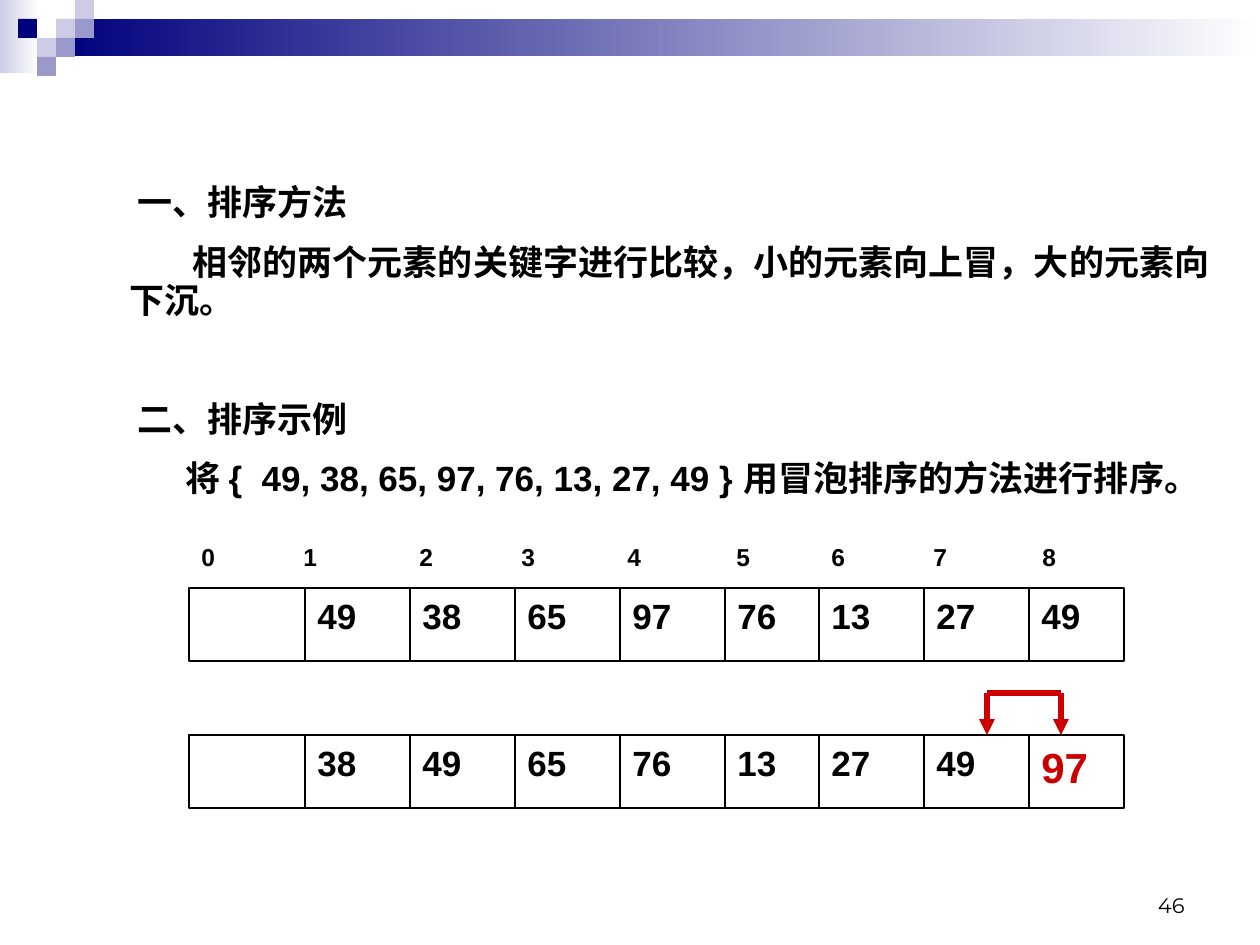
import pptx
import pptx.dml.color
import pptx.enum.shapes
import pptx.enum.text
import pptx.oxml.ns
import pptx.oxml.xmlchemy
import pptx.util

PX = 914400 // 126
BLACK = pptx.dml.color.RGBColor(0x00, 0x00, 0x00)
WHITE = pptx.dml.color.RGBColor(0xFF, 0xFF, 0xFF)
NAVY = pptx.dml.color.RGBColor(0x00, 0x00, 0x7D)
LILAC = pptx.dml.color.RGBColor(0x99, 0x99, 0xCC)
PALE = pptx.dml.color.RGBColor(0xCC, 0xCC, 0xE6)
RED = pptx.dml.color.RGBColor(0xCC, 0x00, 0x00)
RECTANGLE = pptx.enum.shapes.MSO_SHAPE.RECTANGLE
STRAIGHT = pptx.enum.shapes.MSO_CONNECTOR.STRAIGHT
Pt = pptx.util.Pt
new_element = pptx.oxml.xmlchemy.OxmlElement
qn = pptx.oxml.ns.qn

deck = pptx.Presentation()
deck.slide_width = pptx.util.Inches(10)
deck.slide_height = pptx.util.Inches(7.5)
page = deck.slides.add_slide(deck.slide_layouts[1])
title = page.shapes.title
title.element.getparent().remove(title.element)


def add_line(x1, y1, x2, y2, color, width, arrow=False):
    line = page.shapes.add_connector(STRAIGHT, x1 * PX, y1 * PX, x2 * PX, y2 * PX)
    line.line.color.rgb = color
    line.line.width = Pt(width)
    properties = line.element.spPr
    if arrow:
        tail = new_element("a:tailEnd")
        tail.set("type", "triangle")
        properties.find(qn("a:ln")).append(tail)
    properties.append(new_element("a:effectLst"))


def add_text(x, y, width, height, text, size, color=BLACK, font="Arial", bold=True):
    box = page.shapes.add_textbox(x * PX, y * PX, width * PX, height * PX)
    box.text_frame.word_wrap = True
    para = box.text_frame.paragraphs[0]
    para.text = text
    para.font.name = font
    para.font.size = Pt(size)
    para.font.bold = bold
    para.font.color.rgb = color
    return box


# Header band and its mosaic of squares
for x, y, width, height, left_color in ((0, 0, 39, 73, PALE), (57, 19, 1203, 37, NAVY)):
    band = page.shapes.add_shape(RECTANGLE, x * PX, y * PX, width * PX, height * PX)
    band.shadow.inherit = False
    band.line.fill.background()
    band.fill.gradient()
    band.fill.gradient_angle = 0
    for stop, color in zip(band.fill.gradient_stops, (left_color, WHITE)):
        stop.color.rgb = color

SQUARE = 19
for column, row, color in (
    (3, 1, PALE), (4, 0, PALE), (4, 1, LILAC), (2, 2, PALE),
    (1, 1, NAVY), (3, 2, LILAC), (2, 3, LILAC),
):
    square = page.shapes.add_shape(
        RECTANGLE, (column * SQUARE - 1) * PX, row * SQUARE * PX, SQUARE * PX, SQUARE * PX)
    square.shadow.inherit = False
    square.line.fill.background()
    square.fill.solid()
    square.fill.fore_color.rgb = color

# Method and example: text, first-line indent in px, space before in points
body = page.placeholders[1]
body.left, body.top, body.width, body.height = 0, 179 * PX, 1229 * PX, 387 * PX
frame = body.text_frame
frame.auto_size = pptx.enum.text.MSO_AUTO_SIZE.NONE
statements = (
    ("一、排序方法", 8, 12.5),
    ("相邻的两个元素的关键字进行比较，小的元素向上冒，大的元素向下沉。", 63, 12.5),
    ("二、排序示例", 8, 46.5),
    ("将 {  49, 38, 65, 97, 76, 13, 27, 49 } 用冒泡排序的方法进行排序。", 56, 12.5),
)
for number, (text, indent, space) in enumerate(statements):
    para = frame.paragraphs[0] if number == 0 else frame.add_paragraph()
    para.text = text
    para.line_spacing = 0.9
    para.space_before = Pt(space)
    para.font.name = "Arial"
    para.font.size = Pt(20)
    para.font.bold = True
    para.font.color.rgb = BLACK
    properties = para._p.get_or_add_pPr()
    properties.set("marL", str(117 * PX))
    properties.set("indent", str(indent * PX))
    properties.find(qn("a:defRPr")).addprevious(new_element("a:buNone"))

# Array before and after the first pass
ARRAY_LEFT, ARRAY_WIDTH, ARRAY_HEIGHT = 189, 935, 73
CELL_LEFTS = (305, 410, 515, 620, 725, 819, 924, 1029)
arrays = (
    (588, (49, 38, 65, 97, 76, 13, 27, 49)),
    (735, (38, 49, 65, 76, 13, 27, 49, 97)),
)
for top, keys in arrays:
    outline = page.shapes.add_shape(
        RECTANGLE, ARRAY_LEFT * PX, top * PX, ARRAY_WIDTH * PX, ARRAY_HEIGHT * PX)
    outline.shadow.inherit = False
    outline.fill.solid()
    outline.fill.fore_color.rgb = WHITE
    outline.line.color.rgb = BLACK
    outline.line.width = Pt(0.75)
    for left, key in zip(CELL_LEFTS, keys):
        add_line(left, top, left, top + ARRAY_HEIGHT, BLACK, 0.75)
        size, color = (24, RED) if top == 735 and left == CELL_LEFTS[-1] else (20, BLACK)
        add_text(left, top, 84, 55, str(key), size, color)

# Index labels on tab stops
labels = add_text(ARRAY_LEFT, 536, ARRAY_WIDTH, 43, "\t".join(map(str, range(9))), 14)
tab_list = new_element("a:tabLst")
for offset in (102, 218, 320, 426, 535, 630, 732, 841):
    tab = new_element("a:tab")
    tab.set("pos", str(offset * PX))
    tab.set("algn", "l")
    tab_list.append(tab)
labels.text_frame.paragraphs[0]._p.get_or_add_pPr().insert(0, tab_list)

# Swap bracket
for x in (987, 1061):
    add_line(x, 693, x, 735, RED, 3, arrow=True)
add_line(987, 693, 1061, 693, RED, 3)

page_number = add_text(903, 861, 294, 63, "46", 12, font="Montserrat", bold=False)
page_number.text_frame.vertical_anchor = pptx.enum.text.MSO_ANCHOR.BOTTOM
page_number.text_frame.paragraphs[0].alignment = pptx.enum.text.PP_ALIGN.RIGHT

deck.save("out.pptx")
